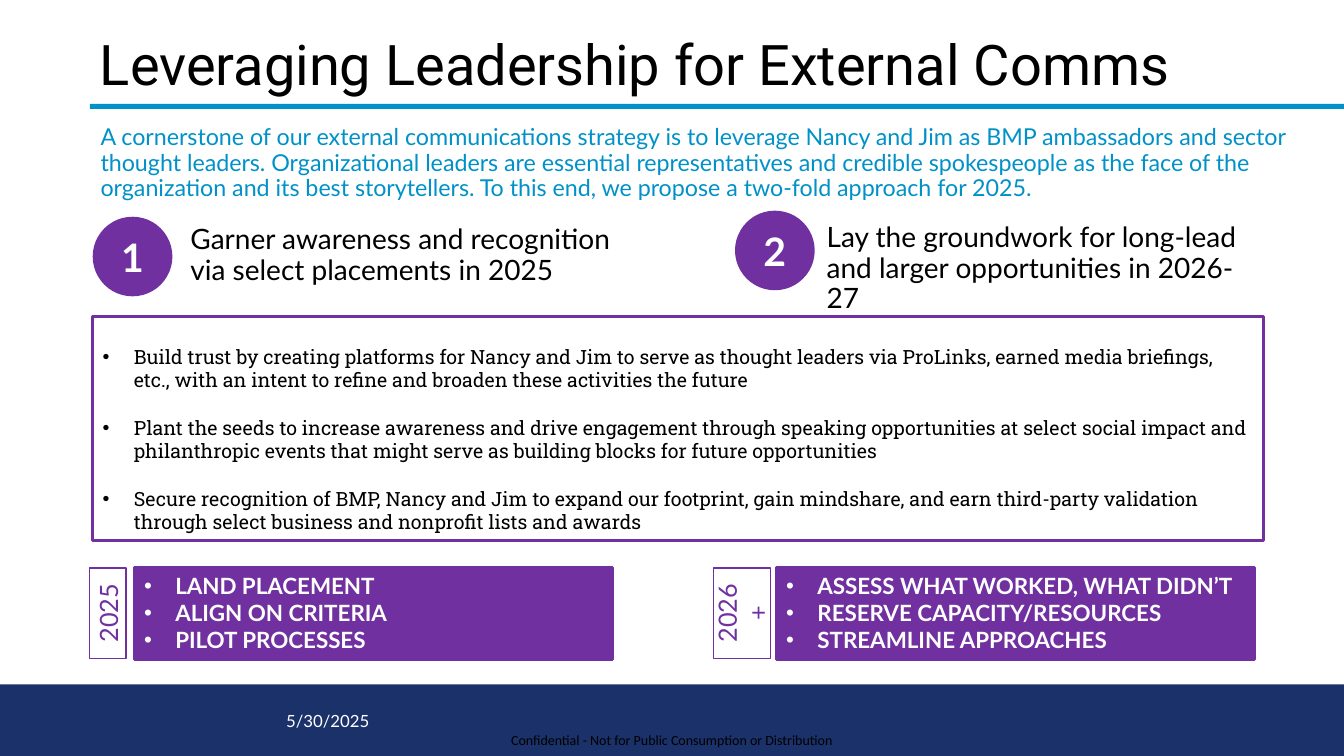
from pptx import Presentation
from pptx.dml.color import RGBColor
from pptx.enum.shapes import MSO_SHAPE
from pptx.enum.text import MSO_ANCHOR, MSO_AUTO_SIZE, PP_ALIGN
from pptx.oxml import parse_xml
from pptx.oxml.ns import nsdecls
from pptx.util import Inches, Pt

NAVY, BLUE, PURPLE, WHITE, BLACK = "1B3169", "0091C8", "7030A0", "FFFFFF", "000000"
WIDE, HIGH = Inches(13.33), Inches(7.5)
TITLE = "Leveraging Leadership for External Comms"
LEAD = (
    "A cornerstone of our external communications strategy is to leverage Nancy and Jim "
    "as BMP ambassadors and sector thought leaders. Organizational leaders are essential "
    "representatives and credible spokespeople as the face of the organization and its best "
    "storytellers. To this end, we propose a two-fold approach for 2025."
)
GOALS = [
    "Build trust by creating platforms for Nancy and Jim to serve as thought leaders via "
    "ProLinks, earned media briefings, etc., with an intent to refine and broaden these "
    "activities the future",
    "Plant the seeds to increase awareness and drive engagement through speaking "
    "opportunities at select social impact and philanthropic events that might serve as "
    "building blocks for future opportunities",
    "Secure recognition of BMP, Nancy and Jim to expand our footprint, gain mindshare, and "
    "earn third-party validation through select business and nonprofit lists and awards",
]
TRACKS = [
    {
        "badge": ("1", 6.9, 28.67),
        "aim": ("Garner awareness and recognition via select placements in 2025", 13.43, 29.2, 34.88),
        "tag": ("2025", 8.03, 4.8),
        "steps": (["LAND PLACEMENT", "ALIGN ON CRITERIA", "PILOT PROCESSES"], 9.98),
    },
    {
        "badge": ("2", 54.69, 27.87),
        "aim": ("Lay the groundwork for long-lead and larger opportunities in 2026-27", 60.77, 28.93, 33.31),
        "tag": ("2026+", 55.21, 7.6),
        "steps": (
            ["ASSESS WHAT WORKED, WHAT DIDN’T", "RESERVE CAPACITY/RESOURCES", "STREAMLINE APPROACHES"],
            57.76,
        ),
    },
]
TAG_MID, TAG_WIDE = 81.1, 6.75


def color(code):
    return RGBColor.from_string(code)


def place(x, y, w, h):
    """Turn shares of the slide, in percent, into lengths."""
    return [round(share * side / 100) for share, side in zip((x, y, w, h), (WIDE, HIGH) * 2)]


def write(shape, lines, font, size, ink, bold=False, align=PP_ALIGN.LEFT,
          anchor=MSO_ANCHOR.TOP, lead=None, gap=0, bullet=False):
    frame = shape.text_frame
    frame.word_wrap = True
    frame.auto_size = MSO_AUTO_SIZE.NONE
    frame.vertical_anchor = anchor
    for row, line in enumerate(lines):
        para = frame.add_paragraph() if row else frame.paragraphs[0]
        para.alignment = align
        para.space_before = Pt(gap if row else 0)
        if lead:
            para.line_spacing = lead
        if bullet:
            props = para._p.get_or_add_pPr()
            props.set("marL", str(Inches(0.31)))
            props.set("indent", str(-Inches(0.31)))
            props.append(parse_xml(f'<a:buFont {nsdecls("a")} typeface="Arial"/>'))
            props.append(parse_xml(f'<a:buChar {nsdecls("a")} char="•"/>'))
        run = para.add_run()
        run.text = line
        run.font.name, run.font.size, run.font.bold = font, Pt(size), bold
        run.font.color.rgb = color(ink)
    return frame


def draw(slide, kind, box, fill=None, line=None, weight=1):
    shape = slide.shapes.add_shape(kind, *place(*box))
    shape.shadow.inherit = False
    if fill:
        shape.fill.solid()
        shape.fill.fore_color.rgb = color(fill)
    else:
        shape.fill.background()
    if line:
        shape.line.color.rgb = color(line)
        shape.line.width = Pt(weight)
    else:
        shape.line.fill.background()
    return shape


def label(slide, box, text, size, ink, font="Lato", **style):
    return write(slide.shapes.add_textbox(*place(*box)), [text], font, size, ink, **style)


def add_track(slide, track):
    middle = {"align": PP_ALIGN.CENTER, "anchor": MSO_ANCHOR.MIDDLE}
    text, x, y, w = track["aim"]
    label(slide, (x, y, w, 7.87), text, 20, BLACK, lead=0.9)
    text, x, y = track["badge"]
    badge = draw(slide, MSO_SHAPE.OVAL, (x, y, 5.93, 10.53), PURPLE)
    write(badge, [text], "Lato", 28, WHITE, bold=True, **middle)
    steps, x = track["steps"]
    panel = draw(slide, MSO_SHAPE.RECTANGLE, (x, 75.07, 35.6, 12.13), PURPLE, PURPLE, 2.25)
    write(panel, steps, "Lato", 16, WHITE, bold=True, bullet=True)
    text, mid, h = track["tag"]
    tag = draw(slide, MSO_SHAPE.RECTANGLE,
               (mid - TAG_WIDE / 2, TAG_MID - h / 2, TAG_WIDE, h), line=PURPLE)
    tag.rotation = 270
    write(tag, [text], "Lato", 18, PURPLE, **middle)


def main():
    deck = Presentation()
    deck.slide_width, deck.slide_height = WIDE, HIGH
    slide = deck.slides.add_slide(deck.slide_layouts[5])
    title = slide.shapes.title
    title.left, title.top, title.width, title.height = place(6.68, 4.67, 84.55, 8.53)
    write(title, [TITLE], "Roboto", 40, BLACK, anchor=MSO_ANCHOR.MIDDLE, lead=0.9)
    draw(slide, MSO_SHAPE.RECTANGLE, (0, 90.53, 100, 9.47), NAVY)
    draw(slide, MSO_SHAPE.RECTANGLE, (6.68, 13.73, 93.32, 0.67), BLUE)
    note = label(slide, (38.03, 96.8, 24.23, 2.27),
                 "Confidential - Not for Public Consumption or Distribution", 10, BLACK, "Calibri")
    note.margin_left = note.margin_right = note.margin_top = note.margin_bottom = 0
    note.word_wrap = False
    label(slide, (20.55, 92.67, 11.4, 5.33), "5/30/2025", 12, WHITE, anchor=MSO_ANCHOR.MIDDLE)
    label(slide, (6.75, 16, 89.87, 12), LEAD, 16.6, BLUE, lead=0.9)
    panel = draw(slide, MSO_SHAPE.RECTANGLE, (6.9, 41.87, 87.1, 29.6), line=PURPLE, weight=2.25)
    goals = write(panel, GOALS, "Roboto Slab", 14, BLACK, gap=17, bullet=True)
    goals.margin_top = Inches(0.28)
    for track in TRACKS:
        add_track(slide, track)
    deck.save("out.pptx")


if __name__ == "__main__":
    main()
